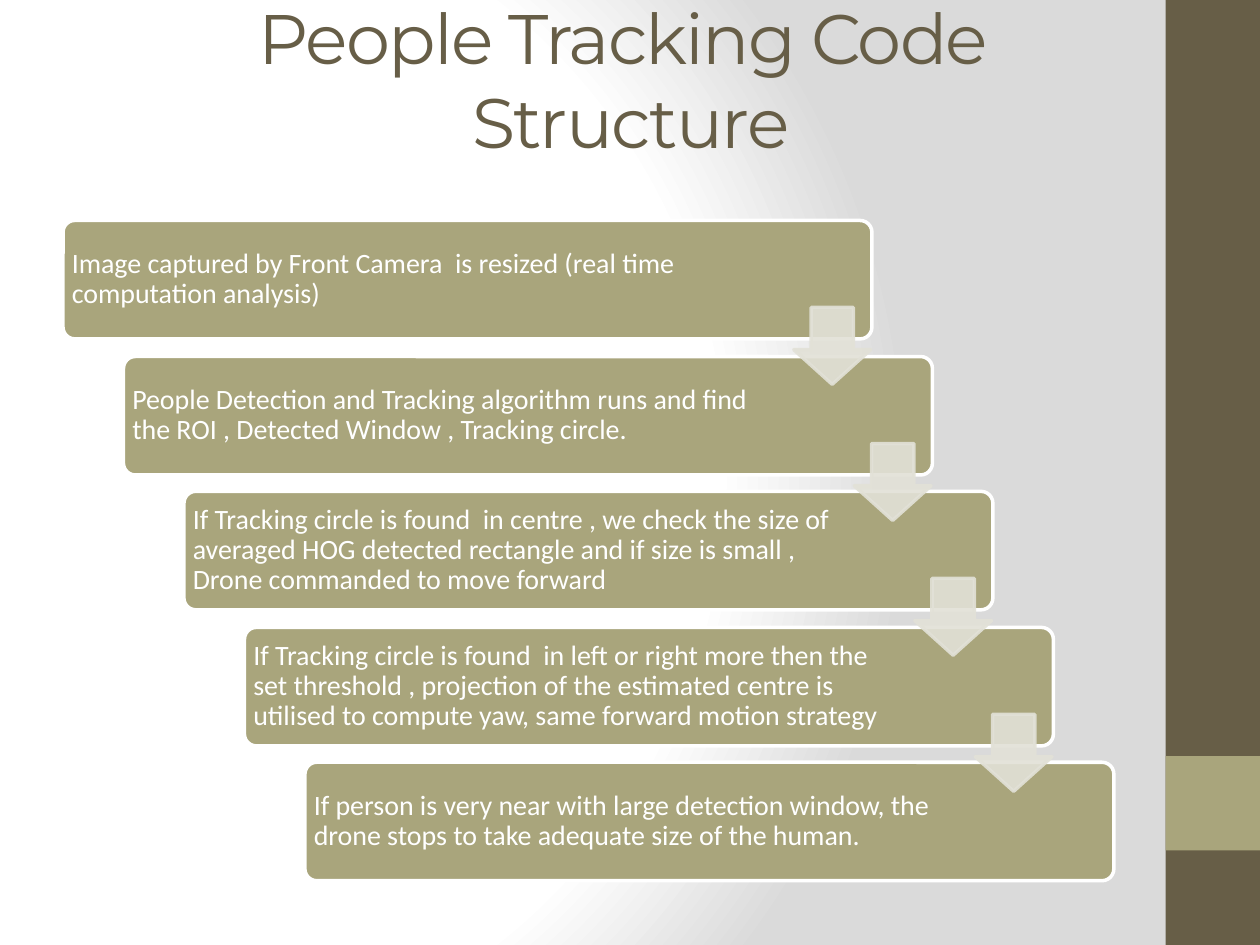
import pptx
import pptx.util
import pptx.dml.color
import pptx.enum.shapes
import pptx.enum.text
import pptx.oxml
import pptx.oxml.ns
from dataclasses import dataclass

SHAPE = pptx.enum.shapes.MSO_SHAPE
ALIGN = pptx.enum.text.PP_ALIGN
ANCHOR = pptx.enum.text.MSO_ANCHOR


@dataclass(frozen=True)
class Theme:
    dark: str = "675E47"
    accent: str = "A9A57C"
    arrow: str = "E2E1D7"
    white: str = "FFFFFF"
    shade: str = "DADADA"
    title_font: str = "Montserrat"
    body_font: str = "Calibri"
    title_size: int = 40
    body_size: int = 16
    outline: int = 2


THEME = Theme()

# Layout in px, 100 px to the inch
CARD_X, CARD_Y, CARD_W, CARD_H = 50, 175, 642, 94
STEP_X, TWO_STEPS_Y = 48, 215
TEXT_W, INSET = 532, 7
ARROW_DX, ARROW_DY, ARROW_SIZE = 580, 69, 61

STEPS = [
    "Image captured by Front Camera  is resized (real time computation analysis)",
    "People Detection and Tracking algorithm runs and find the ROI , "
    "Detected Window , Tracking circle.",
    "If Tracking circle is found  in centre , we check the size of averaged HOG "
    "detected rectangle and if size is small , Drone commanded to move forward",
    "If Tracking circle is found  in left or right more then the set threshold , "
    "projection of the estimated centre is utilised to compute yaw, "
    "same forward motion strategy",
    "If person is very near with large detection window, the drone stops to take "
    "adequate size of the human.",
]


def px(n):
    return pptx.util.Emu(n * 9144)


def rgb(color):
    return pptx.dml.color.RGBColor.from_string(color)


def set_background(s):
    """Radial gradient from white at the left to grey at the right."""
    s.background.fill.gradient()
    bg = s.background._cSld.bg.bgPr
    stops = [(0, THEME.white), (75, THEME.white), (100, THEME.shade)]
    gs = "".join(f'<a:gs pos="{pos * 1000}"><a:srgbClr val="{color}"/></a:gs>'
                 for pos, color in stops)
    grad = pptx.oxml.parse_xml(
        f'<a:gradFill {pptx.oxml.ns.nsdecls("a")} rotWithShape="1">'
        f'<a:gsLst>{gs}</a:gsLst><a:path path="circle">'
        '<a:fillToRect l="20000" t="50000" r="100000" b="50000"/>'
        '</a:path></a:gradFill>')
    bg.replace(bg.find(pptx.oxml.ns.qn("a:gradFill")), grad)


def add_block(s, kind, x, y, w, h, fill, line=None):
    sp = s.shapes.add_shape(kind, px(x), px(y), px(w), px(h))
    sp.shadow.inherit = False
    sp.fill.solid()
    sp.fill.fore_color.rgb = rgb(fill)
    if line:
        sp.line.color.rgb = rgb(line)
        sp.line.width = pptx.util.Pt(THEME.outline)
    else:
        sp.line.fill.background()
    return sp


def style_run(r, font, size, color):
    r.font.name = font
    r.font.size = pptx.util.Pt(size)
    r.font.color.rgb = rgb(color)


def set_title(s, text):
    sp = s.shapes.title
    sp.left, sp.top, sp.width, sp.height = px(67), px(0), px(867), px(125)
    tf = sp.text_frame
    tf.text = text
    tf.word_wrap = True
    tf.auto_size = pptx.enum.text.MSO_AUTO_SIZE.NONE
    tf.vertical_anchor = ANCHOR.MIDDLE
    p = tf.paragraphs[0]
    p.alignment = ALIGN.CENTER
    r = p.runs[0]
    style_run(r, THEME.title_font, THEME.title_size, THEME.dark)
    r.font._element.set("spc", "-100")
    # Keep the title in front of the side rail
    s.shapes._spTree.append(sp._element)


def add_card(s, x, y, text):
    card = add_block(s, SHAPE.ROUNDED_RECTANGLE, x, y, CARD_W, CARD_H,
                     THEME.accent, THEME.white)
    card.adjustments[0] = 0.1
    tf = s.shapes.add_textbox(px(x), px(y), px(TEXT_W), px(CARD_H)).text_frame
    tf.text = text
    tf.word_wrap = True
    tf.vertical_anchor = ANCHOR.MIDDLE
    tf.margin_left = tf.margin_right = px(INSET)
    tf.margin_top = tf.margin_bottom = px(INSET)
    p = tf.paragraphs[0]
    p.line_spacing = 0.9
    style_run(p.runs[0], THEME.body_font, THEME.body_size, THEME.white)


def add_arrow(s, x, y):
    sp = add_block(s, SHAPE.DOWN_ARROW, x, y, ARROW_SIZE, ARROW_SIZE,
                   THEME.arrow, THEME.arrow)
    sp.adjustments[0], sp.adjustments[1] = 0.55, 0.45
    # Fill and line at 90% opacity
    for clr in sp._element.spPr.iter(pptx.oxml.ns.qn("a:srgbClr")):
        clr.append(pptx.oxml.parse_xml(
            f'<a:alpha {pptx.oxml.ns.nsdecls("a")} val="90000"/>'))


def main():
    prs = pptx.Presentation()
    prs.slide_width, prs.slide_height = px(1000), px(750)
    s = prs.slides.add_slide(prs.slide_layouts[5])
    set_background(s)

    # Side rail
    add_block(s, SHAPE.RECTANGLE, 925, 0, 75, 750, THEME.dark)
    add_block(s, SHAPE.RECTANGLE, 925, 600, 75, 75, THEME.accent)

    set_title(s, "People Tracking Code  Structure")

    # Staircase of cards, then the arrows that lead from one to the next
    places = [(CARD_X + i * STEP_X, CARD_Y + (i * TWO_STEPS_Y + 1) // 2)
              for i in range(len(STEPS))]
    for (x, y), text in zip(places, STEPS):
        add_card(s, x, y, text)
    for x, y in places[:-1]:
        add_arrow(s, x + ARROW_DX, y + ARROW_DY)

    prs.save("out.pptx")


if __name__ == "__main__":
    main()
